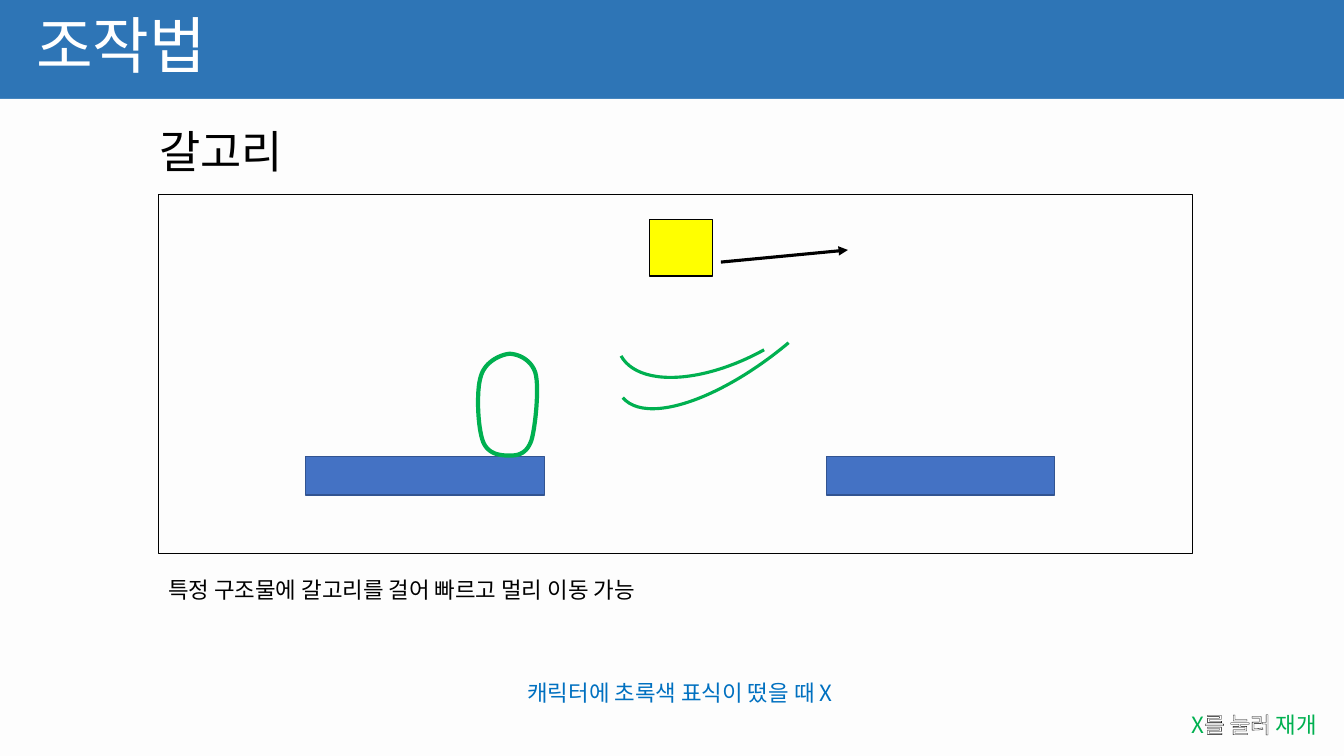
from lxml.etree import SubElement
from pptx import Presentation
from pptx.dml.color import RGBColor
from pptx.enum.shapes import MSO_CONNECTOR, MSO_SHAPE
from pptx.enum.text import MSO_ANCHOR, MSO_AUTO_SIZE, PP_ALIGN
from pptx.oxml import parse_xml
from pptx.oxml.ns import nsdecls, qn
from pptx.util import Inches, Pt

FONT = "Noto Sans CJK KR"
COLORS = {
    "header": "2E75B6", "paper": "FDFDFD", "white": "FFFFFF", "black": "000000",
    "platform": "4472C4", "platform_edge": "325491", "target": "FFFF00",
    "green": "00B050", "blue": "0070C0",
}

TITLE = ((0.26, 0, 11.5, 0.97), [("조작법", "white")], 44, PP_ALIGN.LEFT, MSO_ANCHOR.MIDDLE, False)
LABELS = [
    ((1.48, 1.18, 3, 0.64), [("갈고리", "black")], 32, PP_ALIGN.LEFT, MSO_ANCHOR.TOP, False),
    ((1.57, 5.66, 7.43, 0.37), [("특정 구조물에 갈고리를 걸어 빠르고 멀리 이동 가능", "black")],
     16, PP_ALIGN.LEFT, MSO_ANCHOR.MIDDLE, False),
    ((3.03, 6.69, 7.43, 0.37), [("캐릭터에 초록색 표식이 떴을 때 X", "blue")],
     16, PP_ALIGN.CENTER, MSO_ANCHOR.MIDDLE, True),
    ((9.31, 7, 3.85, 0.37), [("X", "green"), ("를 눌러 ", "white"), ("재개", "green")],
     16, PP_ALIGN.RIGHT, MSO_ANCHOR.MIDDLE, True),
]

PANEL = (0, 0.98, 13.33, 6.52)
SCENE = [
    (MSO_SHAPE.RECTANGLE, (3.03, 4.53, 2.37, 0.38), "platform", "platform_edge", 1, 0),
    (MSO_SHAPE.RECTANGLE, (8.2, 4.53, 2.26, 0.38), "platform", "platform_edge", 1, 0),
    (MSO_SHAPE.RECTANGLE, (6.44, 2.18, 0.63, 0.56), "target", "black", 1, 0),
    (MSO_SHAPE.ARC, (5.8, 2.27, 3.22, 1.28), None, "green", 2.25, 140),
    (MSO_SHAPE.ARC, (6, 2.28, 2.54, 1.27), None, "green", 2.25, 151),
    (MSO_SHAPE.RECTANGLE, (1.57, 1.93, 10.26, 3.56), None, "black", 1, 0),
]
ARROW = ((7.15, 2.6), (8.41, 2.48))
CHARACTER_START = (5.05, 3.51)
CHARACTER_CURVES = [
    ((4.96, 3.52), (4.81, 3.59), (4.77, 3.73)),
    ((4.72, 3.88), (4.74, 4.25), (4.79, 4.38)),
    ((4.84, 4.51), (4.97, 4.52), (5.05, 4.52)),
    ((5.13, 4.52), (5.22, 4.51), (5.27, 4.37)),
    ((5.31, 4.24), (5.35, 3.84), (5.31, 3.7)),
    ((5.27, 3.57), (5.14, 3.51), (5.05, 3.51)),
]
CURVE_STEPS = 16


def color(name):
    return RGBColor.from_string(COLORS[name])


def style(shape, fill, line, width=1):
    shape.shadow.inherit = False
    if fill:
        shape.fill.solid()
        shape.fill.fore_color.rgb = color(fill)
    else:
        shape.fill.background()
    if line:
        shape.line.color.rgb = color(line)
        shape.line.width = Pt(width)
    else:
        shape.line.fill.background()


def add_shape(slide, kind, box, fill, line, width=1, rotation=0):
    shape = slide.shapes.add_shape(kind, *map(Inches, box))
    shape.rotation = rotation
    style(shape, fill, line, width)


def add_text(slide, box, runs, size, alignment, anchor, outlined, grows=True):
    frame = slide.shapes.add_textbox(*map(Inches, box)).text_frame
    frame.word_wrap = True
    frame.vertical_anchor = anchor
    frame.auto_size = MSO_AUTO_SIZE.SHAPE_TO_FIT_TEXT if grows else MSO_AUTO_SIZE.NONE
    paragraph = frame.paragraphs[0]
    paragraph.alignment = alignment
    font = paragraph.font
    font.size = Pt(size)
    font.name = FONT
    if len(runs) == 1:
        font.color.rgb = color(runs[0][1])
    SubElement(font._rPr, qn("a:ea"), typeface=FONT)
    for text, run_color in runs:
        run = paragraph.add_run()
        run.text = text
        if len(runs) > 1:
            run.font.color.rgb = color(run_color)
        if outlined:
            run.font._rPr.insert(0, parse_xml(
                f'<a:ln {nsdecls("a")} w="{Pt(0.75)}"><a:solidFill>'
                f'<a:srgbClr val="{COLORS["black"]}"/></a:solidFill></a:ln>'))
    return paragraph


def add_arrow(slide, start, end):
    arrow = slide.shapes.add_connector(MSO_CONNECTOR.STRAIGHT, *map(Inches, start + end))
    arrow.line.color.rgb = color("black")
    arrow.line.width = Pt(2.25)
    SubElement(arrow.line._get_or_add_ln(), qn("a:tailEnd"), type="triangle")
    SubElement(arrow._element.spPr, qn("a:effectLst"))


def curve_points(start, curves):
    points = []
    for first, second, end in curves:
        for step in range(1, CURVE_STEPS + 1):
            t = step / CURVE_STEPS
            weights = ((1 - t) ** 3, 3 * t * (1 - t) ** 2, 3 * t ** 2 * (1 - t), t ** 3)
            corners = (start, first, second, end)
            points.append(tuple(
                Inches(sum(weight * corner[axis] for weight, corner in zip(weights, corners)))
                for axis in (0, 1)))
        start = end
    return points


def add_character(slide):
    builder = slide.shapes.build_freeform(*map(Inches, CHARACTER_START))
    builder.add_line_segments(curve_points(CHARACTER_START, CHARACTER_CURVES), close=True)
    style(builder.convert_to_shape(), None, "green", 3)


def main():
    presentation = Presentation()
    presentation.slide_width = Inches(13.33)
    presentation.slide_height = Inches(7.5)
    slide = presentation.slides.add_slide(presentation.slide_layouts[6])
    slide.background.fill.solid()
    slide.background.fill.fore_color.rgb = color("header")

    add_shape(slide, MSO_SHAPE.RECTANGLE, PANEL, "paper", None)
    add_text(slide, *TITLE, grows=False).line_spacing = 0.9
    for item in SCENE:
        add_shape(slide, *item)
    add_arrow(slide, *ARROW)
    add_character(slide)
    for label in LABELS:
        add_text(slide, *label)
    presentation.save("out.pptx")


if __name__ == "__main__":
    main()
